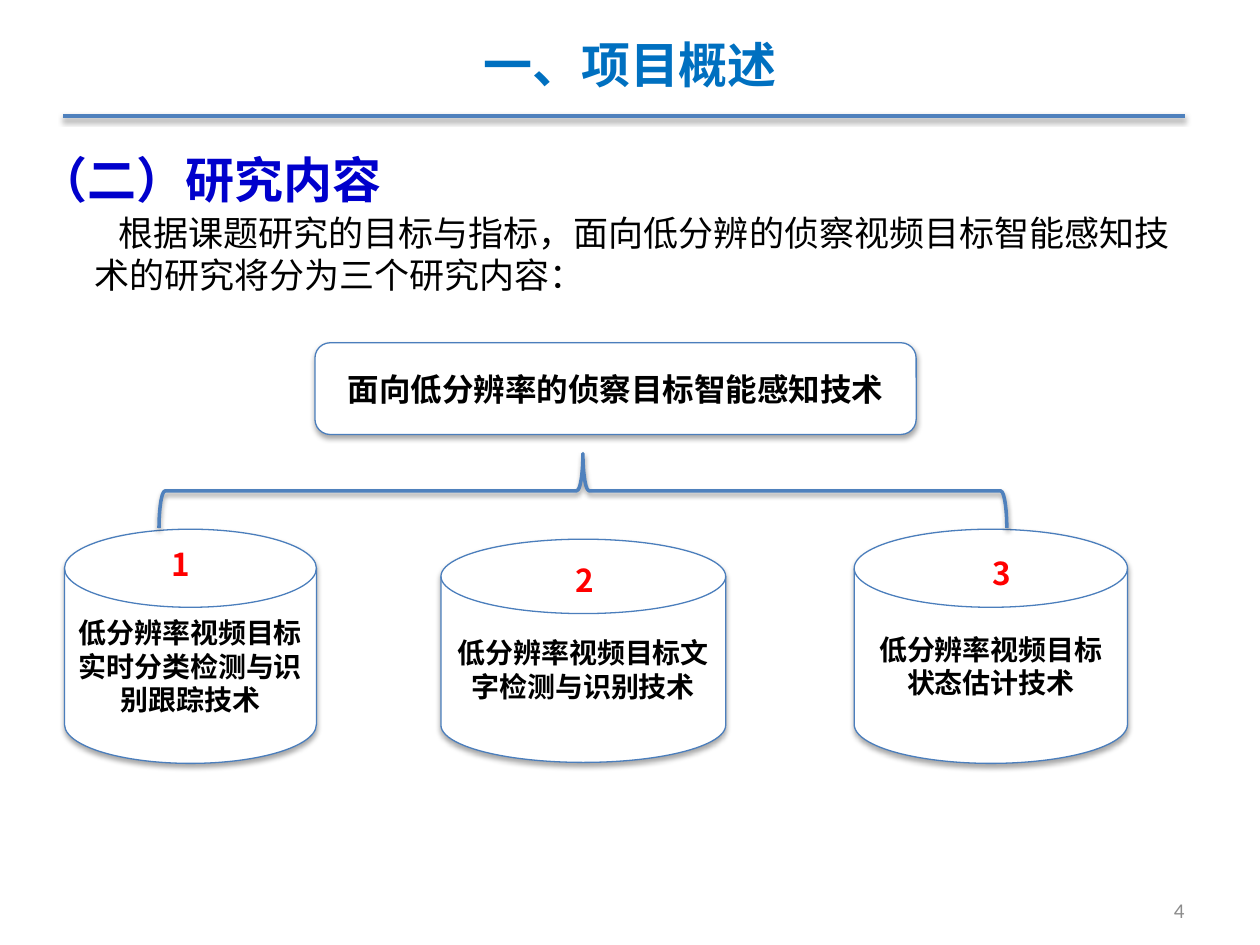
"""Builds the project overview slide on the three research topics."""
import pptx
import pptx.dml.color
import pptx.enum.shapes
import pptx.enum.text
import pptx.oxml
import pptx.oxml.ns
import pptx.util

Cm, Pt = pptx.util.Cm, pptx.util.Pt
RGBColor = pptx.dml.color.RGBColor
MSO_SHAPE = pptx.enum.shapes.MSO_SHAPE
ALIGN = pptx.enum.text.PP_ALIGN
ANCHOR = pptx.enum.text.MSO_ANCHOR

SANS = "Noto Sans CJK SC"
BLACK = RGBColor(0x00, 0x00, 0x00)
WHITE = RGBColor(0xFF, 0xFF, 0xFF)
RED = RGBColor(0xFF, 0x00, 0x00)
GREY = RGBColor(0x8C, 0x8C, 0x8C)
TITLE_BLUE = RGBColor(0x00, 0x70, 0xC0)
HEADING_BLUE = RGBColor(0x00, 0x00, 0xCC)
LINE_BLUE = RGBColor(0x4F, 0x81, 0xBD)
EDGE_BLUE = RGBColor(0x4B, 0x7E, 0xBC)


def write(sp, text, size, color=BLACK, font=SANS, bold=True, align=ALIGN.CENTER,
          anchor=ANCHOR.MIDDLE, spacing=1.2, indent=0):
    tf = sp.text_frame
    tf.word_wrap = True
    tf.vertical_anchor = anchor
    p = tf.paragraphs[0]
    p.alignment = align
    p.line_spacing = Pt(size * spacing)
    p._p.get_or_add_pPr().set("indent", str(indent))
    r = p.add_run()
    r.text = text
    r.font.size = Pt(size)
    r.font.bold = bold
    r.font.name = font
    r.font.color.rgb = color
    ea = pptx.oxml.parse_xml(f'<a:ea {pptx.oxml.ns.nsdecls("a")} typeface="{SANS}"/>')
    r.font._element.find(pptx.oxml.ns.qn("a:latin")).addnext(ea)


def outline(sp, color, width, alpha, distance):
    sp.line.color.rgb = color
    sp.line.width = Pt(width)
    sp._element.spPr.append(pptx.oxml.parse_xml(
        f'<a:effectLst {pptx.oxml.ns.nsdecls("a")}>'
        f'<a:outerShdw blurRad="{Pt(3.1)}" dist="{Pt(distance)}" dir="5400000" rotWithShape="0">'
        f'<a:srgbClr val="000000"><a:alpha val="{alpha * 1000}"/></a:srgbClr>'
        '</a:outerShdw></a:effectLst>'))


prs = pptx.Presentation()
prs.slide_width, prs.slide_height = Cm(25.4), Cm(19.05)
s = prs.slides.add_slide(prs.slide_layouts[5])

title = s.shapes.title
title.left, title.top, title.width, title.height = Cm(1.27), Cm(0.51), Cm(22.86), Cm(1.55)
write(title, "一、项目概述", 28, TITLE_BLUE)

heading = s.shapes.add_textbox(Cm(0.53), Cm(2.41), Cm(7.52), Cm(1.93))
write(heading, "（二）研究内容", 28, HEADING_BLUE, font="Times New Roman",
      align=ALIGN.LEFT, anchor=ANCHOR.TOP, spacing=1.68)

rule = s.shapes.add_connector(pptx.enum.shapes.MSO_CONNECTOR.STRAIGHT,
                              Cm(1.27), Cm(2.34), Cm(23.88), Cm(2.34))
outline(rule, LINE_BLUE, 2, 38, 1.6)

number = s.shapes.add_textbox(Cm(18.21), Cm(18.03), Cm(5.92), Cm(0.64))
write(number, "4", 12, GREY, font="Calibri", bold=False, align=ALIGN.RIGHT)

intro = s.shapes.add_textbox(Cm(1.65), Cm(4.14), Cm(22.23), Cm(1.96))
write(intro, "根据课题研究的目标与指标，面向低分辨的侦察视频目标智能感知技术的研究将分为三个研究内容：",
      20, bold=False, align=ALIGN.LEFT, anchor=ANCHOR.TOP, indent=Cm(0.48))

boxes = [
    (MSO_SHAPE.ROUNDED_RECTANGLE, 6.35, 6.91, 12.12, 1.85, "面向低分辨率的侦察目标智能感知技术", 18),
    (MSO_SHAPE.FLOWCHART_MAGNETIC_DISK, 1.3, 10.67, 5.08, 4.72, "低分辨率视频目标实时分类检测与识别跟踪技术", 16),
    (MSO_SHAPE.FLOWCHART_MAGNETIC_DISK, 8.89, 10.87, 5.74, 4.5, "低分辨率视频目标文字检测与识别技术", 16),
    (MSO_SHAPE.FLOWCHART_MAGNETIC_DISK, 17.22, 10.67, 5.51, 4.72, "低分辨率视频目标状态估计技术", 16),
]
for kind, left, top, width, height, text, size in boxes:
    sp = s.shapes.add_shape(kind, Cm(left), Cm(top), Cm(width), Cm(height))
    sp.fill.solid()
    sp.fill.fore_color.rgb = WHITE
    outline(sp, EDGE_BLUE, 0.75, 35, 1.8)
    write(sp, text, size)

brace = s.shapes.add_shape(MSO_SHAPE.LEFT_BRACE, Cm(11), Cm(1.35), Cm(1.5), Cm(17.09))
brace.rotation = 90
brace.fill.background()
outline(brace, LINE_BLUE, 2, 38, 1.6)

for i, (left, top) in enumerate([(3.2, 10.87), (11.33, 11.18), (19.74, 11.05)], 1):
    label = s.shapes.add_textbox(Cm(left), Cm(top), Cm(0.91), Cm(1.02))
    write(label, str(i), 18, RED, anchor=ANCHOR.TOP)

prs.save("out.pptx")
